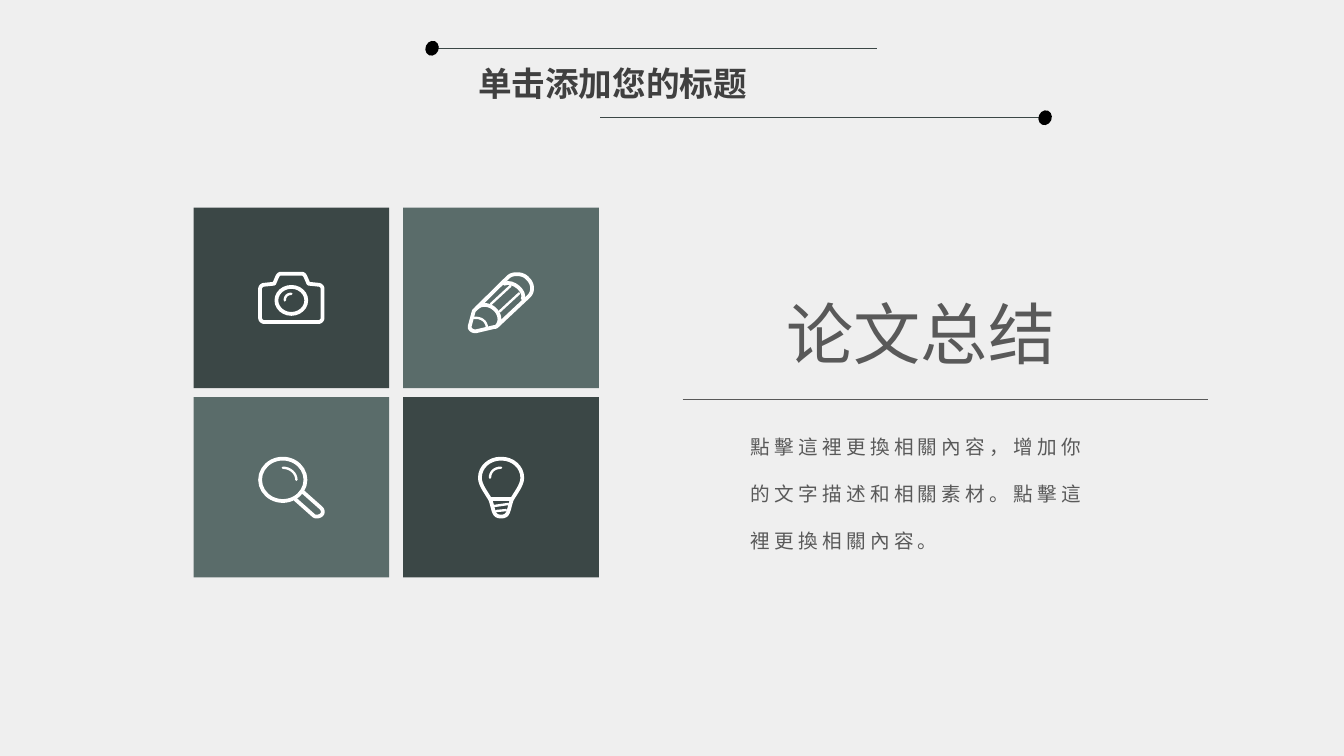
import dataclasses
import pptx
import pptx.util
import pptx.dml.color
import pptx.enum.shapes
import pptx.enum.text
import pptx.oxml
import pptx.oxml.ns


@dataclasses.dataclass
class Theme:
    back: str = "EFEFEF"
    dark: str = "3B4746"
    mid: str = "5A6C6A"
    ink: str = "595959"
    title: str = "404040"
    dot: str = "000000"
    white: str = "FFFFFF"
    font: str = "Noto Sans CJK SC"
    big: int = 48
    head: int = 24
    body: int = 14
    thick: float = 2.7
    thin: float = 1.7


@dataclasses.dataclass
class Box:
    x: float
    y: float
    w: float
    h: float

    def share(self, x, y, w, h):
        return Box(self.x + self.w * x / 100, self.y + self.h * y / 100,
                   self.w * w / 100, self.h * h / 100)

    def frame(self):
        return [int(v) for v in (self.x, self.y, self.w, self.h)]


THEME = Theme()
SHAPE = pptx.enum.shapes.MSO_SHAPE

CAMERA = {
    "thick": [
        [(-31, -9), (-31, -11, -29, -13, -27, -13), (-17, -14), (-14, -21),
         (-13, -23, -12, -24, -10, -24), (10, -24), (12, -24, 13, -23, 14, -21),
         (17, -14), (27, -13), (29, -13, 31, -11, 31, -9), (31, 20),
         (31, 22, 29, 24, 27, 24), (-27, 24), (-29, 24, -31, 22, -31, 20), (-31, -9)]],
    "thin": [[(-6.5, 2.5), (-6.5, -1.5, -4, -4, 0, -4)]],
    "ring": (0, 2.5, 14.8, 13.4),
}
PENCIL = {
    "thick": [
        [(-25, 11), (7.5, -21), (10, -23, 13, -23.5, 16, -23.5),
         (20, -23.5, 24, -22, 26.5, -19), (32, -14, 32, -6, 28, -2), (-4, 28),
         (-5, 29, -6, 29, -7, 29), (-24, 33), (-28, 34, -32, 31, -31, 28),
         (-27, 13), (-25, 11)],
        [(-24, 10), (-19, 5, -11, 7, -6.5, 11), (-1, 16, 0, 23, -4, 28)],
        [(3, -14), (12, -18, 25, -6, 21.5, 1)]],
    "thin": [
        [(-27, 20), (-20, 19, -14, 23, -14, 30)],
        [(-10, 6), (9.5, -12)],
        [(-1.5, 13.5), (18, -4.5)]],
}
LENS = {
    "thick": [[(12, 5), (29.5, 20.5), (33, 24, 31, 29, 25, 29),
               (23, 29, 22, 28, 21.5, 27.5), (4, 12)]],
    "thin": [[(-8.5, -19.5), (-1, -19.5, 5, -14, 5, -7.5)]],
    "ring": (-8.5, -7.5, 22.5, 21),
}
BULB = {
    "thick": [
        [(0, -28.5), (12, -28.5, 21, -20, 21, -9.5), (21, -2, 14, 6, 10.5, 12.5),
         (7, 23, 8, 29, 0, 29), (-8, 29, -7, 23, -10.5, 12.5),
         (-14, 6, -21, -2, -21, -9.5), (-21, -20, -12, -28.5, 0, -28.5)],
        [(-10, 11.5), (10, 11.5)]],
    "thin": [
        [(-7, 18.5), (7, 16.5)],
        [(-5, 23.5), (5, 22.5)],
        [(-11, -9.5), (-11, -15, -7, -19.5, 0, -19.5)]],
}


def color(code):
    return pptx.dml.color.RGBColor.from_string(code)


def block(slide, kind, box, fill):
    shape = slide.shapes.add_shape(kind, *box.frame())
    shape.shadow.inherit = False
    shape.fill.solid()
    shape.fill.fore_color.rgb = color(fill)
    shape.line.fill.background()
    return shape


def rule(slide, box, ink, width):
    x, y, w, h = box.frame()
    line = slide.shapes.add_connector(
        pptx.enum.shapes.MSO_CONNECTOR.STRAIGHT, x, y, x + w, y + h)
    line.line.color.rgb = color(ink)
    line.line.width = pptx.util.Pt(width)
    line._element.spPr.append(pptx.oxml.parse_xml(
        "<a:effectLst %s/>" % pptx.oxml.ns.nsdecls("a")))


def write(shape, box, text, size, ink, bold=False, gap=1, space=0):
    shape.left, shape.top, shape.width, shape.height = box.frame()
    frame = shape.text_frame
    frame.text = text
    frame.word_wrap = True
    frame.auto_size = pptx.enum.text.MSO_AUTO_SIZE.NONE
    frame.vertical_anchor = pptx.enum.text.MSO_ANCHOR.TOP
    para = frame.paragraphs[0]
    para.alignment = pptx.enum.text.PP_ALIGN.LEFT
    para.line_spacing = float(gap)
    para.space_before = pptx.util.Pt(0)
    font = para.runs[0].font
    font.name = THEME.font
    font.size = pptx.util.Pt(size)
    font.bold = bold
    font.color.rgb = color(ink)
    props = font._element
    props.set("spc", str(space * 100))
    props.find(pptx.oxml.ns.qn("a:latin")).addnext(pptx.oxml.parse_xml(
        '<a:ea %s typeface="%s"/>' % (pptx.oxml.ns.nsdecls("a"), THEME.font)))


def trace(steps, count=8):
    dots = [steps[0]]
    for step in steps[1:]:
        if len(step) == 2:
            dots.append(step)
            continue
        ends = [dots[-1], step[:2], step[2:4], step[4:]]
        for k in range(1, count + 1):
            t = k / count
            mix = ((1 - t) ** 3, 3 * t * (1 - t) ** 2, 3 * t * t * (1 - t), t ** 3)
            dots.append(tuple(sum(m * p[i] for m, p in zip(mix, ends)) for i in (0, 1)))
    return dots


def stroke(shape, width):
    shape.shadow.inherit = False
    shape.fill.background()
    shape.line.color.rgb = color(THEME.white)
    shape.line.width = pptx.util.Pt(width)
    line = shape._element.spPr.find(pptx.oxml.ns.qn("a:ln"))
    line.set("cap", "rnd")
    line.append(pptx.oxml.parse_xml("<a:round %s/>" % pptx.oxml.ns.nsdecls("a")))


def icon(slide, box, art):
    unit = box.w / 194
    midx, midy = box.x + box.w / 2, box.y + box.h / 2
    for kind, width in (("thick", THEME.thick), ("thin", THEME.thin)):
        for steps in art[kind]:
            dots = [(midx + x * unit, midy + y * unit) for x, y in trace(steps)]
            pen = slide.shapes.build_freeform(*dots[0])
            pen.add_line_segments(dots[1:], close=steps[0] == steps[-1][-2:])
            stroke(pen.convert_to_shape(), width)
    if "ring" in art:
        x, y, rx, ry = art["ring"]
        ring = Box(midx + (x - rx) * unit, midy + (y - ry) * unit,
                   2 * rx * unit, 2 * ry * unit)
        stroke(slide.shapes.add_shape(SHAPE.OVAL, *ring.frame()), THEME.thick)


def header(slide, box):
    write(slide.shapes.title, box.share(6.8, 20.2, 70, 59.5),
          "单击添加您的标题", THEME.head, THEME.title, bold=True)
    for left, top, dot in ((1.8, 9.5, 0), (27.9, 91.5, 97.9)):
        rule(slide, box.share(left, top, 70.3, 0), THEME.dark, 0.5)
        spot = block(slide, SHAPE.OVAL, box.share(dot, top - 9, 2.1, 17.9), THEME.dot)
        spot.rotation = 23


def tiles(slide, box):
    wide, high = 48.26, 48.77
    for k, art in enumerate((CAMERA, PENCIL, LENS, BULB)):
        row, col = divmod(k, 2)
        cell = box.share(col * (100 - wide), row * (100 - high), wide, high)
        block(slide, SHAPE.RECTANGLE, cell, THEME.mid if row != col else THEME.dark)
        icon(slide, cell, art)


def summary(slide, box):
    name = slide.shapes.add_textbox(0, 0, 0, 0)
    write(name, box.share(17.9, 0, 55.1, 33.8), "论文总结", THEME.big, THEME.ink)
    rule(slide, box.share(0, 41.3, 100, 0), THEME.ink, 0.25)
    write(slide.placeholders[1], box.share(11.1, 43.9, 68.5, 56.1),
          "點擊這裡更換相關內容，增加你的文字描述和相關素材。點擊這裡更換相關內容。",
          THEME.body, THEME.ink, gap=2, space=3)


def main():
    deck = pptx.Presentation()
    deck.slide_width = pptx.util.Inches(13.33)
    deck.slide_height = pptx.util.Inches(7.5)
    slide = deck.slides.add_slide(deck.slide_layouts[2])
    slide.background.fill.solid()
    slide.background.fill.fore_color.rgb = color(THEME.back)
    page = Box(0, 0, deck.slide_width, deck.slide_height)
    header(slide, page.share(31.66, 5.33, 46.59, 11.2))
    tiles(slide, page.share(14.4, 27.47, 30.16, 48.93))
    summary(slide, page.share(50.79, 38, 39.08, 35.87))
    deck.save("out.pptx")


if __name__ == "__main__":
    main()
